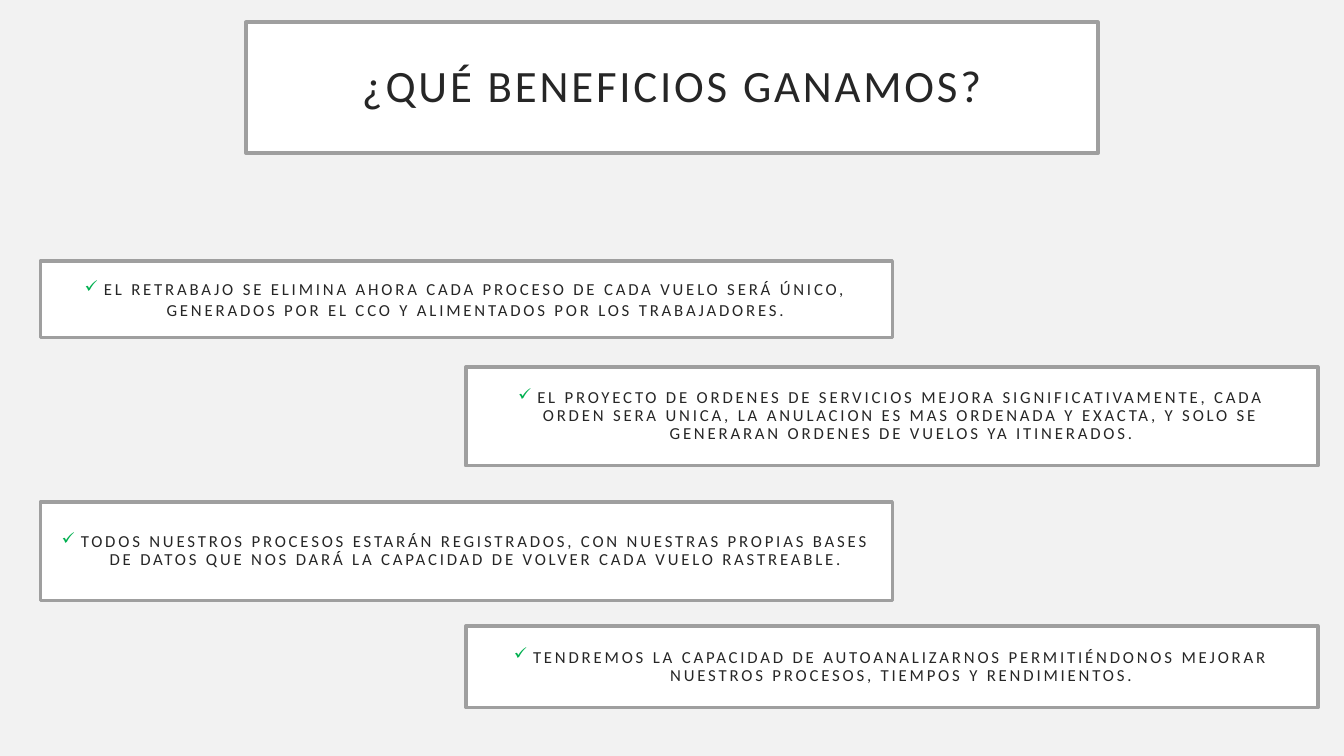
from dataclasses import dataclass

from lxml import etree
from pptx import Presentation
from pptx.dml.color import RGBColor
from pptx.enum.shapes import MSO_SHAPE
from pptx.enum.text import MSO_ANCHOR, PP_ALIGN
from pptx.oxml.ns import qn
from pptx.util import Pt

RECTANGLE = MSO_SHAPE.RECTANGLE
MIDDLE = MSO_ANCHOR.MIDDLE
CENTER = PP_ALIGN.CENTER
PX = 9144
BOX_WIDTH = 845
LEFT, RIGHT = 40, 462


@dataclass(frozen=True)
class Theme:
    background: str = "F2F2F2"
    box: str = "FFFFFF"
    border: str = "9F9F9F"
    text: str = "262626"
    check: str = "00B050"
    font: str = "Calibri"
    title_size: int = 32
    body_size: int = 12
    border_width: float = 2.5
    tracking: int = 200


THEME = Theme()

BENEFITS = [
    (LEFT, 259, 76, 1.0,
     "EL RETRABAJO SE ELIMINA AHORA CADA PROCESO DE CADA VUELO SERÁ ÚNICO, "
     "GENERADOS POR EL CCO Y ALIMENTADOS POR LOS TRABAJADORES."),
    (RIGHT, 364, 98, 0.9,
     "EL PROYECTO DE ORDENES DE SERVICIOS MEJORA SIGNIFICATIVAMENTE, CADA "
     "ORDEN SERA UNICA, LA ANULACION ES MAS ORDENADA Y EXACTA, Y SOLO SE "
     "GENERARAN ORDENES DE VUELOS YA ITINERADOS."),
    (LEFT, 498, 98, 0.9,
     "TODOS NUESTROS PROCESOS ESTARÁN REGISTRADOS, CON NUESTRAS PROPIAS BASES "
     "DE DATOS QUE NOS DARÁ LA CAPACIDAD DE VOLVER CADA VUELO RASTREABLE."),
    (RIGHT, 621, 81, 0.9,
     "TENDREMOS LA CAPACIDAD DE AUTOANALIZARNOS PERMITIÉNDONOS MEJORAR "
     "NUESTROS PROCESOS, TIEMPOS Y RENDIMIENTOS."),
]


def px(length):
    return length * PX


def color(value):
    return RGBColor.from_string(value)


def add_box(slide, left, top, height, text, size, line_spacing=0.9):
    s = slide.shapes.add_shape(
        RECTANGLE, px(left), px(top), px(BOX_WIDTH), px(height))
    s.shadow.inherit = False
    s.fill.solid()
    s.fill.fore_color.rgb = color(THEME.box)
    s.line.color.rgb = color(THEME.border)
    s.line.width = Pt(THEME.border_width)
    tf = s.text_frame
    tf.word_wrap = True
    tf.vertical_anchor = MIDDLE
    tf.margin_left = tf.margin_right = px(20)
    tf.margin_top = tf.margin_bottom = px(20)
    tf.text = text
    p = tf.paragraphs[0]
    p.alignment = CENTER
    p.line_spacing = line_spacing
    r = p.runs[0]
    r.font.name = THEME.font
    r.font.size = Pt(size)
    r.font.color.rgb = color(THEME.text)
    r.font._element.set("spc", str(THEME.tracking))
    return p


def add_check(p):
    pPr = p._p.get_or_add_pPr()
    pPr.set("marL", str(px(19)))
    pPr.set("indent", str(px(-19)))
    bullet_color = etree.SubElement(pPr, qn("a:buClr"))
    etree.SubElement(bullet_color, qn("a:srgbClr"), val=THEME.check)
    etree.SubElement(pPr, qn("a:buChar"), char="✓")


def add_benefit(slide, left, top, height, line_spacing, text):
    p = add_box(slide, left, top, height, text, THEME.body_size, line_spacing)
    add_check(p)


def main():
    prs = Presentation()
    prs.slide_width, prs.slide_height = px(1333), px(750)
    slide = prs.slides.add_slide(prs.slide_layouts[6])
    slide.background.fill.solid()
    slide.background.fill.fore_color.rgb = color(THEME.background)
    add_box(slide, 244, 22, 130, "¿QUÉ BENEFICIOS GANAMOS?", THEME.title_size)
    for benefit in BENEFITS:
        add_benefit(slide, *benefit)
    prs.save("out.pptx")


if __name__ == "__main__":
    main()
